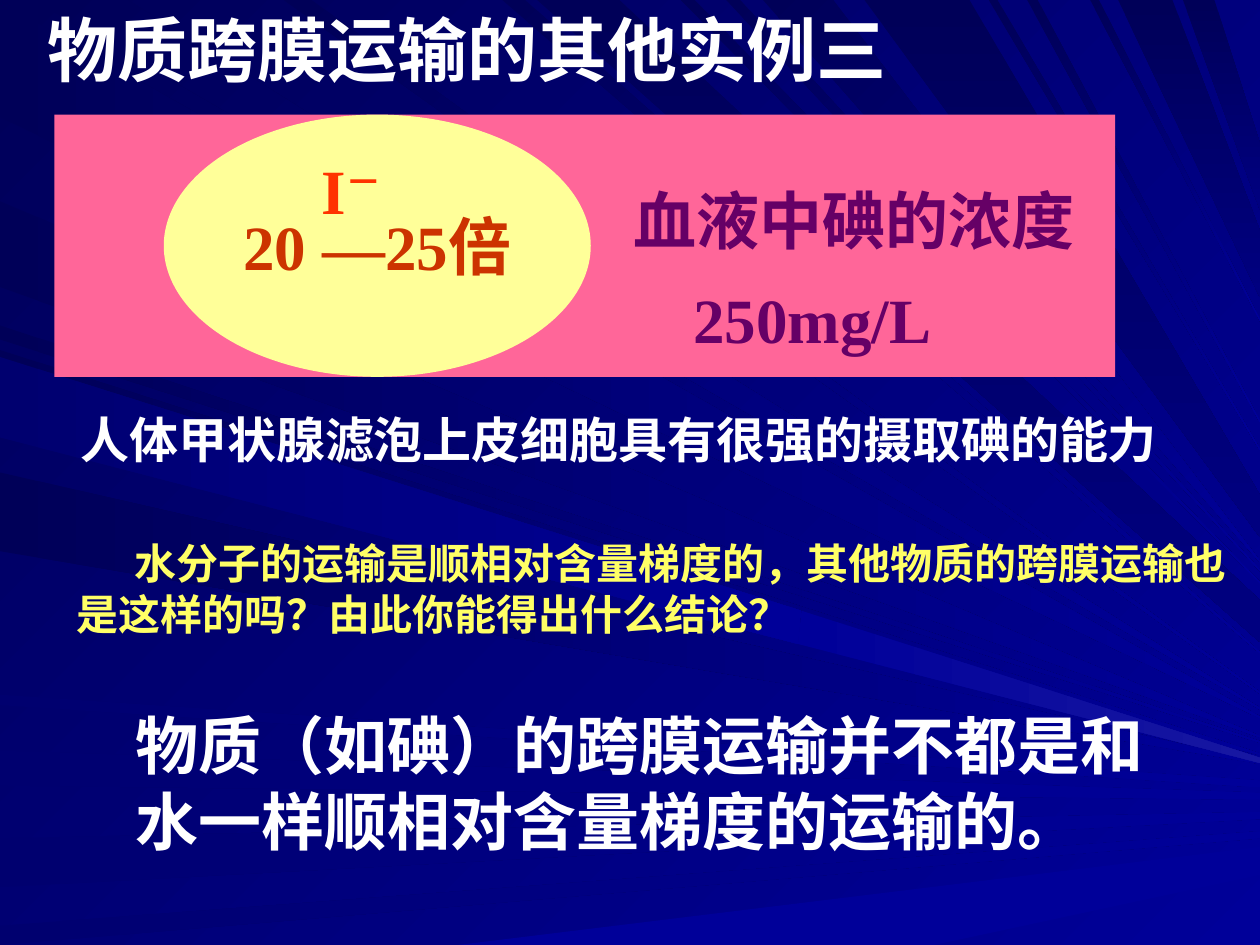
import pptx
import pptx.dml.color
import pptx.enum.shapes
import pptx.enum.text
import pptx.util

Pt = pptx.util.Pt
RGBColor = pptx.dml.color.RGBColor
MSO_SHAPE = pptx.enum.shapes.MSO_SHAPE

WHITE = RGBColor(0xFF, 0xFF, 0xFF)
YELLOW = RGBColor(0xFF, 0xFF, 0x66)
PALE_YELLOW = RGBColor(0xFF, 0xFF, 0x99)
PINK = RGBColor(0xFF, 0x66, 0x99)
PURPLE = RGBColor(0x66, 0x00, 0x66)
BRICK = RGBColor(0xCC, 0x33, 0x00)
RED = RGBColor(0xFF, 0x33, 0x00)
NIGHT = RGBColor(0x00, 0x00, 0x58)
DUSK = RGBColor(0x00, 0x00, 0x6F)
MID = RGBColor(0x00, 0x00, 0x80)
BRIGHT = RGBColor(0x00, 0x00, 0x99)
GLOW = RGBColor(0x17, 0x17, 0xA2)

SERIF = "Times New Roman"
SANS = "Arial"

LEFT_RAYS = [(1, 67, 410), (186, 194, 424), (115, 164, 421), (200, 246, 431), (270, 315, 436)]
LOW_RAYS = [(397, 403, 448), (429, 449, 455), (479, 507, 466), (529, 540, 477)]
TOP_RAYS = [(19, 73, 405), (162, 178, 396), (287, 300, 373), (389, 397, 333), (415, 423, 326),
            (436, 476, 321), (565, 570, 257), (587, 593, 241), (623, 628, 183)]
BROAD_RAYS = [(307, 354, 355), (494, 554, 295)]
CORNER_RAYS = [(639, 670, 151), (676, 694, 101)]


def paint(fill, start, end, angle=0):
    if start == end:
        fill.solid()
        fill.fore_color.rgb = start
        return
    fill.gradient()
    fill.gradient_angle = (360 - angle) % 360
    for stop, color in zip(fill.gradient_stops, (start, end)):
        stop.color.rgb = color


def strip_outline(shape):
    shape.shadow.inherit = False
    shape.line.fill.background()


def format_runs(paragraph, size, color, font_name=SERIF):
    for run in paragraph.runs:
        run.font.size = Pt(size)
        run.font.bold = True
        run.font.name = font_name
        run.font.color.rgb = color


def add_text(slide, box, text, size, color, font_name=SERIF, wrap=False):
    shape = slide.shapes.add_textbox(*map(Pt, box))
    text_frame = shape.text_frame
    text_frame.word_wrap = wrap
    text_frame.auto_size = pptx.enum.text.MSO_AUTO_SIZE.SHAPE_TO_FIT_TEXT
    text_frame.text = text
    paragraph = text_frame.paragraphs[0]
    format_runs(paragraph, size, color, font_name)
    return paragraph


def add_panel(slide, kind, box, color):
    shape = slide.shapes.add_shape(kind, *map(Pt, box))
    strip_outline(shape)
    paint(shape.fill, color, color)
    return shape


def add_blade(slide, points, start, end, angle):
    corners = [(Pt(x), Pt(y)) for x, y in points]
    builder = slide.shapes.build_freeform(*corners[0])
    builder.add_line_segments(corners[1:], close=True)
    blade = builder.convert_to_shape()
    strip_outline(blade)
    paint(blade.fill, start, end, angle)


def add_background(slide, left, top, width, height):
    paint(slide.background.fill, NIGHT, BRIGHT, 45)
    right, bottom = left + width, top + height
    ray_groups = [
        (LEFT_RAYS, False, 1, NIGHT, BRIGHT, 0),
        (LOW_RAYS, False, 4, DUSK, BRIGHT, 0),
        (TOP_RAYS, True, 1, NIGHT, BRIGHT, 45),
        (BROAD_RAYS, True, 24, NIGHT, MID, 90),
        (CORNER_RAYS, True, 38, NIGHT, MID, 90),
    ]
    for rays, from_top, spread, start, end, angle in ray_groups:
        for near, far, tip in rays:
            base = [(left + place, top) if from_top else (left, top + place)
                    for place in (near, far)]
            tips = [(right, top + tip - spread / 2), (right, top + tip + spread / 2)]
            if from_top:
                tips.reverse()
            add_blade(slide, [base[0], *tips, base[1]], start, end, angle)
    add_blade(slide, [(left, top + 204), (left + 458, top + 349),
                      (left + 456, top + 368), (left, top + 250)], DUSK, BRIGHT, 0)
    add_blade(slide, [(left + 458, top + 349), (right, top + 433),
                      (right, top + 436), (left + 456, top + 368)], BRIGHT, GLOW, 0)
    add_blade(slide, [(left + 262, bottom), (right, bottom - 56),
                      (right, bottom - 40), (left + 534, bottom)], BRIGHT, BRIGHT, 0)


def add_iodine_diagram(slide, left, top, width, height):
    add_panel(slide, MSO_SHAPE.RECTANGLE, (left, top, width, height), PINK)
    cell = add_panel(slide, MSO_SHAPE.OVAL, (left + 62.6, top, 244, height), PALE_YELLOW)
    text_frame = cell.text_frame
    text_frame.word_wrap = False
    text_frame.vertical_anchor = pptx.enum.text.MSO_ANCHOR.MIDDLE
    text_frame.text = "20 —25倍"
    paragraph = text_frame.paragraphs[0]
    paragraph.alignment = pptx.enum.text.PP_ALIGN.CENTER
    format_runs(paragraph, 36, BRICK)

    add_text(slide, (left + 358, top + 91.5, 150.5, 50.4), "250mg/L", 36, PURPLE)
    add_text(slide, (left + 324, top + 34.5, 266.4, 50.4), "血液中碘的浓度", 36, PURPLE)
    ion = add_text(slide, (left + 145.5, top + 17.3, 57.6, 50.4), "I", 36, RED)
    charge = ion.add_run()
    charge.text = "－"
    format_runs(ion, 36, RED)
    charge.font._element.set("baseline", "30000")


def add_statements(slide, left, top):
    add_text(slide, (left + 2.2, top, 629.3, 41),
             "人体甲状腺滤泡上皮细胞具有很强的摄取碘的能力", 28, WHITE)
    question = add_text(
        slide, (left, top + 73.4, 683.3, 64.8),
        "水分子的运输是顺相对含量梯度的，其他物质的跨膜运输也是这样的吗？由此你能得出什么结论？",
        24, YELLOW, SANS, wrap=True)
    properties = question._p.get_or_add_pPr()
    properties.set("marL", "0")
    properties.set("indent", str(Pt(33)))
    add_text(slide, (left + 33.9, top + 169.9, 607, 93.6),
             "物质（如碘）的跨膜运输并不都是和水一样顺相对含量梯度的运输的。", 36, WHITE, wrap=True)


def main():
    presentation = pptx.Presentation()
    presentation.slide_width = Pt(720)
    presentation.slide_height = Pt(540)
    slide = presentation.slides.add_slide(presentation.slide_layouts[6])
    add_background(slide, 0, 0, 720, 540)
    add_text(slide, (20.2, 0, 493.9, 55.4), "物质跨膜运输的其他实例三", 40, WHITE)
    add_iodine_diagram(slide, 31, 65.5, 606.2, 149.8)
    add_statements(slide, 36.7, 230.4)
    presentation.save("out.pptx")


if __name__ == "__main__":
    main()
